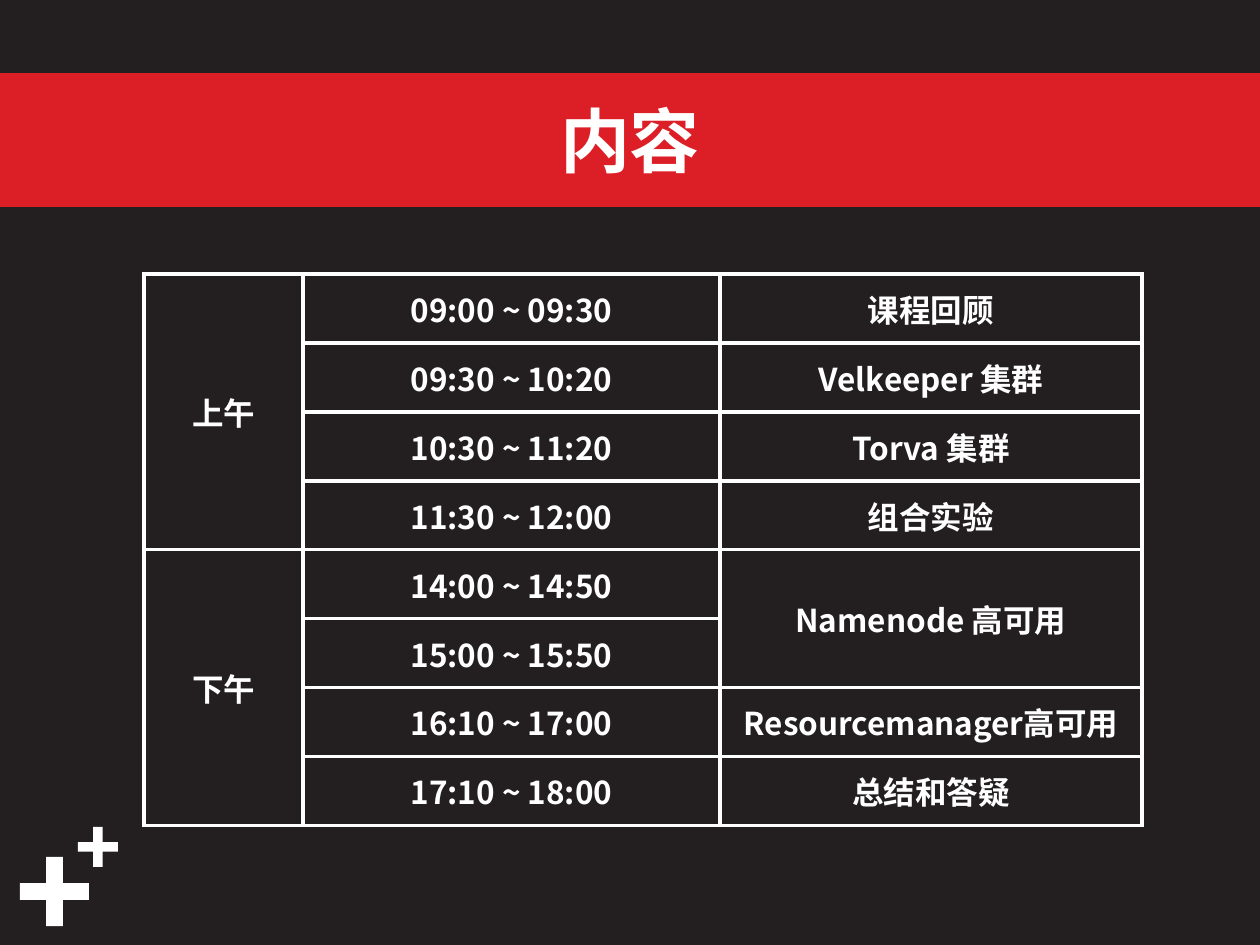
from lxml import etree
from pptx import Presentation
from pptx.dml.color import RGBColor
from pptx.enum.shapes import MSO_SHAPE
from pptx.enum.text import MSO_ANCHOR, PP_ALIGN
from pptx.oxml.ns import qn
from pptx.util import Pt

PLUS = MSO_SHAPE.CROSS
MIDDLE = MSO_ANCHOR.MIDDLE
CENTER = PP_ALIGN.CENTER
PX = 914400 / 126
FONT = "Noto Sans CJK SC"
DARK, RED, WHITE = "231F20", "DC1F26", "FFFFFF"


def rgb(color):
    return RGBColor.from_string(color)


def write(tf, text, size):
    p = tf.paragraphs[0]
    p.alignment = CENTER
    r = p.add_run()
    r.text = text
    for name, value in {"name": FONT, "size": Pt(size), "bold": True}.items():
        setattr(r.font, name, value)
    r.font.color.rgb = rgb(WHITE)
    # Chinese characters take their font from a:ea
    etree.SubElement(r.font._element, qn("a:ea"), typeface=FONT)


prs = Presentation()
prs.slide_width, prs.slide_height = round(1260 * PX), round(945 * PX)
s = prs.slides.add_slide(prs.slide_layouts[5])
s.background.fill.solid()
s.background.fill.fore_color.rgb = rgb(DARK)

# Plus signs in the corner
for x, y, size in [(20, 857, 69), (78, 827, 40)]:
    sp = s.shapes.add_shape(PLUS, *[round(v * PX) for v in (x, y, size, size)])
    sp.adjustments[0] = 0.38
    sp.shadow.inherit = False
    sp.fill.solid()
    sp.fill.fore_color.rgb = rgb(WHITE)
    sp.line.fill.background()

# Title band
title = s.shapes.title
band = {"left": 0, "top": 76, "width": 1260, "height": 128}
for name, value in band.items():
    setattr(title, name, round(value * PX))
title.fill.solid()
title.fill.fore_color.rgb = rgb(RED)
title.line.color.rgb = rgb(RED)
title.line.width = Pt(3)
title.text_frame.vertical_anchor = MIDDLE
write(title.text_frame, "内容", 40)

# Timetable: an empty string is a cell merged into the one above
rows = [
    ("上午", "09:00 ~ 09:30", "课程回顾"),
    ("", "09:30 ~ 10:20", "Velkeeper 集群"),
    ("", "10:30 ~ 11:20", "Torva 集群"),
    ("", "11:30 ~ 12:00", "组合实验"),
    ("下午", "14:00 ~ 14:50", "Namenode 高可用"),
    ("", "15:00 ~ 15:50", ""),
    ("", "16:10 ~ 17:00", "Resourcemanager高可用"),
    ("", "17:10 ~ 18:00", "总结和答疑"),
]
col_widths = [159, 417, 422]
row_height = 69
box = (144, 274, sum(col_widths), row_height * len(rows))
table = s.shapes.add_table(
    len(rows), len(col_widths), *[round(v * PX) for v in box]).table
table.first_row = table.horz_banding = False
for col, width in zip(table.columns, col_widths):
    col.width = round(width * PX)
for row in table.rows:
    row.height = round(row_height * PX)

for i, texts in enumerate(rows):
    for j, text in enumerate(texts):
        cell = table.cell(i, j)
        tcPr = cell._tc.get_or_add_tcPr()
        for side in ("lnL", "lnR", "lnT", "lnB"):
            ln = etree.SubElement(tcPr, qn(f"a:{side}"), w=str(Pt(2.25)))
            fill = etree.SubElement(ln, qn("a:solidFill"))
            etree.SubElement(fill, qn("a:srgbClr"), val=WHITE)
        cell.fill.background()
        cell.vertical_anchor = MIDDLE
        if text:
            write(cell.text_frame, text, 18)

# Merges: first row, last row, column
for top, bottom, col in [(0, 3, 0), (4, 7, 0), (4, 5, 2)]:
    table.cell(top, col).merge(table.cell(bottom, col))

prs.save("out.pptx")
